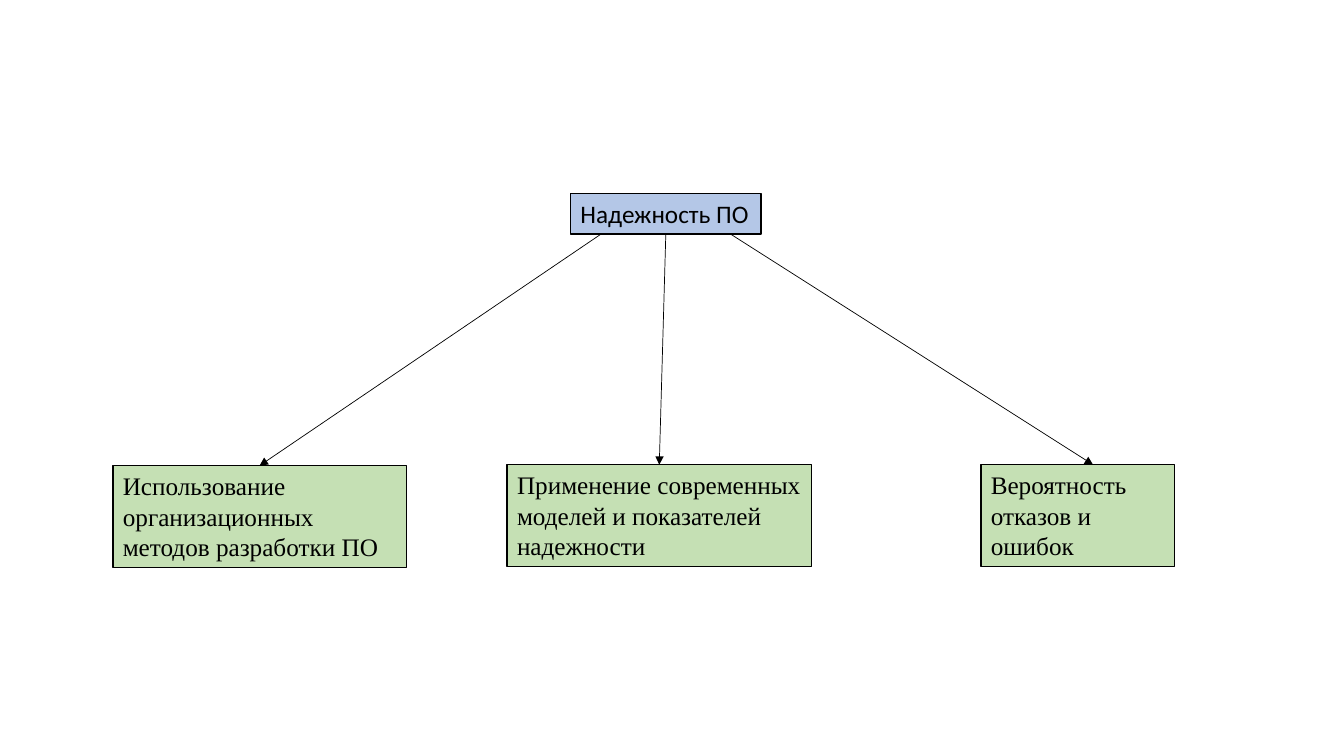
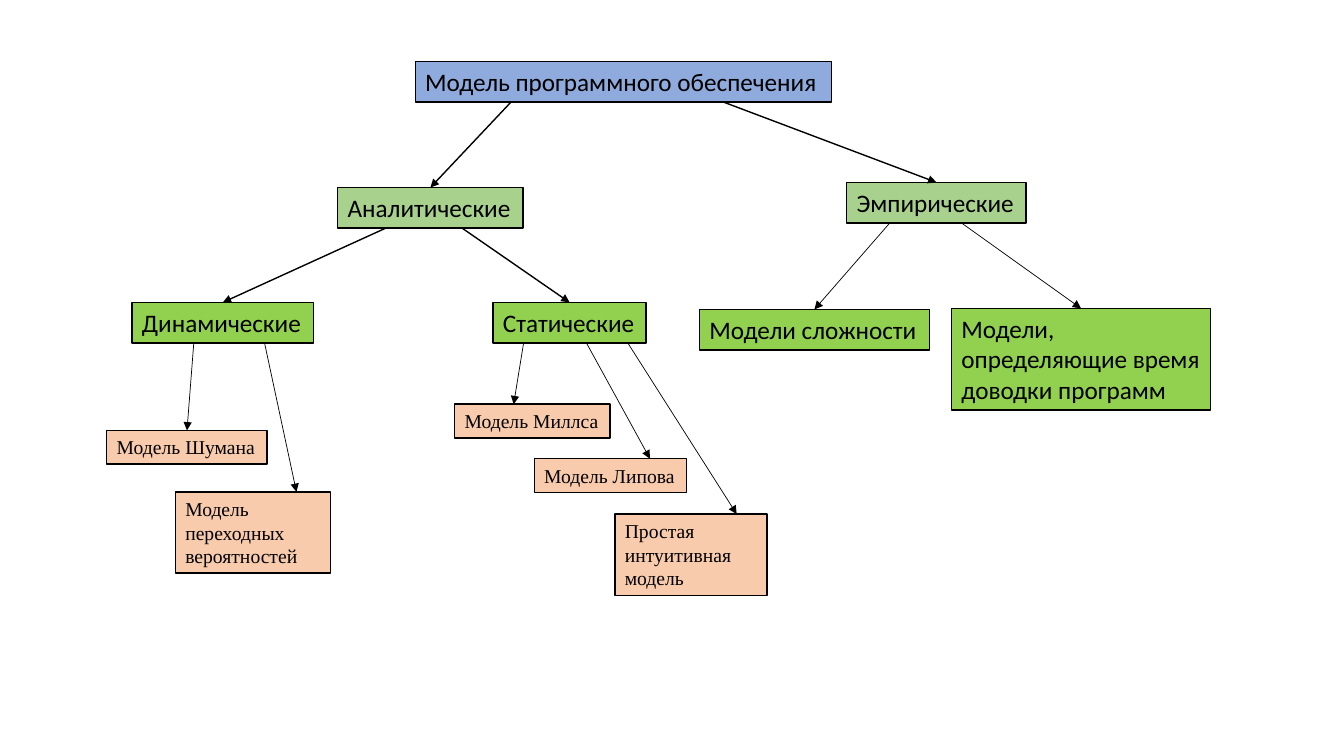
from dataclasses import dataclass

from lxml import etree
from pptx import Presentation
from pptx import util as u
from pptx.dml.color import RGBColor
from pptx.enum import shapes, text
from pptx.oxml.ns import qn

COLORS = {
    "ink": "000000",
    "topic": "B4C7E7",
    "factor": "C5E0B4",
    "root": "8FAADC",
    "branch": "A9D18E",
    "group": "92D050",
    "model": "F8CBAD",
}
SANS, SERIF = "Calibri", "Times New Roman"
FONTS = {
    "topic": (SANS, 18),
    "factor": (SERIF, 18),
    "root": (SANS, 18),
    "branch": (SANS, 18),
    "group": (SANS, 18),
    "model": (SERIF, 14),
}
LINE_SPACING = 1.21
BOX_PADDING = u.Inches(0.1)

presentation = Presentation()
presentation.slide_width = u.Inches(13.333)
presentation.slide_height = u.Inches(7.5)
COLUMN = presentation.slide_width / 100
ROW = presentation.slide_height / 100


@dataclass
class Node:
    label: str
    kind: str
    column: float
    row: float
    columns: float
    lines: int = 1
    exits: tuple = ()
    children: tuple = ()
    entry: float = 0.5
    arrow_width: float = 0.5


def color(name):
    return RGBColor.from_string(COLORS[name])


def add_box(slide, node):
    font_name, size = FONTS[node.kind]
    height = BOX_PADDING + node.lines * u.Pt(size * LINE_SPACING)
    shape = slide.shapes.add_shape(
        shapes.MSO_SHAPE.RECTANGLE,
        round(node.column * COLUMN), round(node.row * ROW),
        round(node.columns * COLUMN), height)
    shape.shadow.inherit = False
    shape.fill.solid()
    shape.fill.fore_color.rgb = color(node.kind)
    shape.line.color.rgb = color("ink")
    shape.line.width = u.Pt(1)
    frame = shape.text_frame
    frame.word_wrap = node.lines > 1
    frame.auto_size = text.MSO_AUTO_SIZE.SHAPE_TO_FIT_TEXT
    frame.vertical_anchor = text.MSO_ANCHOR.TOP
    paragraph = frame.paragraphs[0]
    paragraph.text = node.label
    paragraph.alignment = text.PP_ALIGN.LEFT
    paragraph.font.name = font_name
    paragraph.font.size = u.Pt(size)
    paragraph.font.color.rgb = color("ink")
    return shape


def add_arrow(slide, parent, exit_share, child, entry_share, width):
    connector = slide.shapes.add_connector(
        shapes.MSO_CONNECTOR.STRAIGHT,
        round(parent.left + parent.width * exit_share), parent.top + parent.height,
        round(child.left + child.width * entry_share), child.top)
    connector.line.color.rgb = color("ink")
    connector.line.width = u.Pt(width)
    line = connector.line._get_or_add_ln()
    etree.SubElement(line, qn("a:tailEnd"), type="triangle")
    etree.SubElement(connector._element.spPr, qn("a:effectLst"))


def add_tree(slide, node):
    shape = add_box(slide, node)
    for exit_share, child in zip(node.exits, node.children):
        child_shape = add_tree(slide, child)
        add_arrow(slide, shape, exit_share, child_shape, child.entry, node.arrow_width)
    return shape


def add_tree_slide(root):
    slide = presentation.slides.add_slide(presentation.slide_layouts[6])
    add_tree(slide, root)


reliability = Node(
    "Надежность ПО", "topic", 42.45, 25.6, 14.18, exits=(0.16, 0.5, 0.84), children=(
        Node("Использование организационных методов разработки ПО",
             "factor", 8.4, 61.6, 21.83, 3),
        Node("Применение современных моделей и показателей надежности",
             "factor", 37.73, 61.47, 22.65, 3),
        Node("Вероятность отказов и ошибок",
             "factor", 72.98, 61.47, 14.4, 3, entry=0.58),
    ))

dynamic = Node(
    "Динамические", "group", 9.83, 40, 13.5, exits=(0.34, 0.73), children=(
        Node("Модель Шумана", "model", 7.95, 56.93, 11.93),
        Node("Модель переходных вероятностей",
             "model", 13.05, 65.07, 11.55, 3, entry=0.78),
    ))

static = Node(
    "Статические", "group", 36.68, 40, 11.4, exits=(0.2, 0.61, 0.88), children=(
        Node("Модель Миллса", "model", 33.83, 53.47, 11.55, entry=0.38),
        Node("Модель Липова", "model", 39.75, 60.67, 11.33, entry=0.76),
        Node("Простая интуитивная модель",
             "model", 45.75, 68, 11.33, 3, entry=0.8),
    ))

analytical = Node(
    "Аналитические", "branch", 25.13, 24.8, 13.8,
    exits=(0.26, 0.67), children=(dynamic, static), arrow_width=1)

empirical = Node(
    "Эмпирические", "branch", 63, 24.13, 13.35, exits=(0.24, 0.64), children=(
        Node("Модели сложности", "group", 52.05, 40.93, 17.1),
        Node("Модели, определяющие время доводки программ",
             "group", 70.8, 40.8, 19.28, 3),
    ))

software_model = Node(
    "Модель программного обеспечения", "root", 30.9, 8.13, 30.98,
    exits=(0.23, 0.74), children=(analytical, empirical), arrow_width=1)

for root in (reliability, software_model):
    add_tree_slide(root)

presentation.save("out.pptx")
